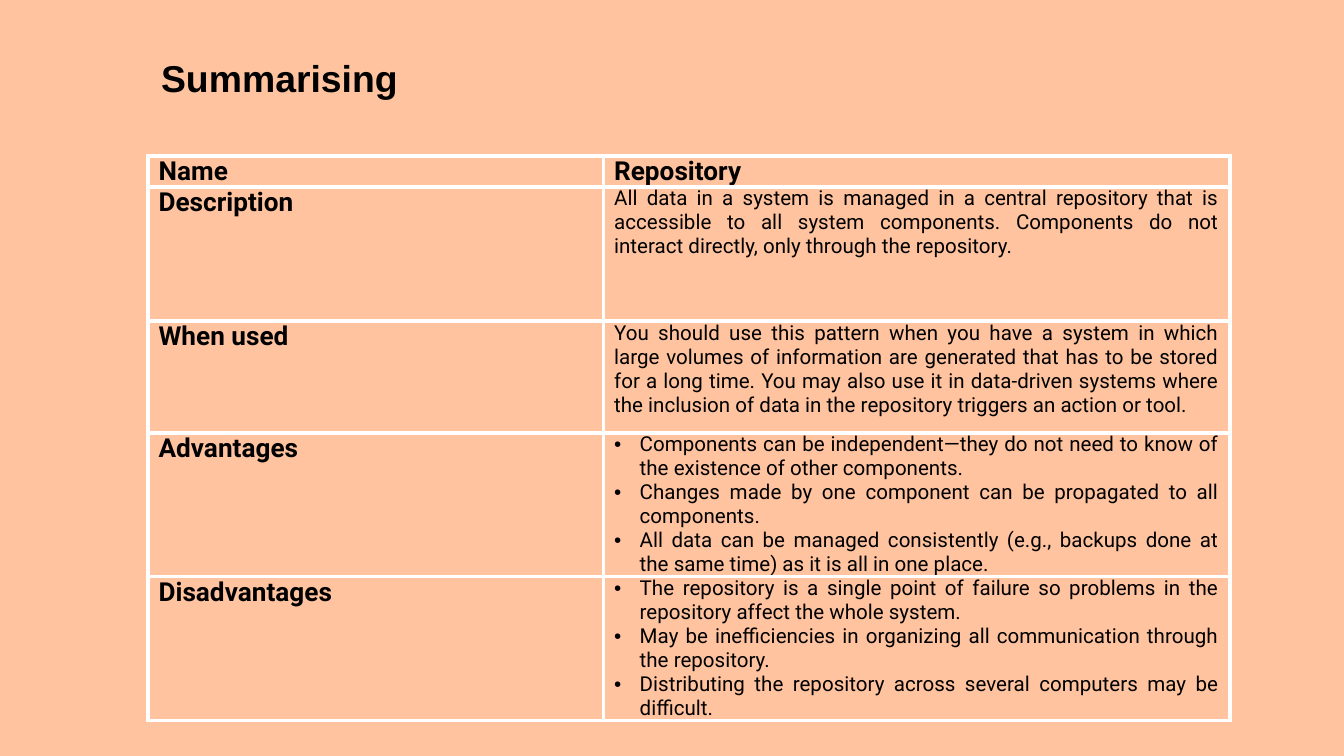
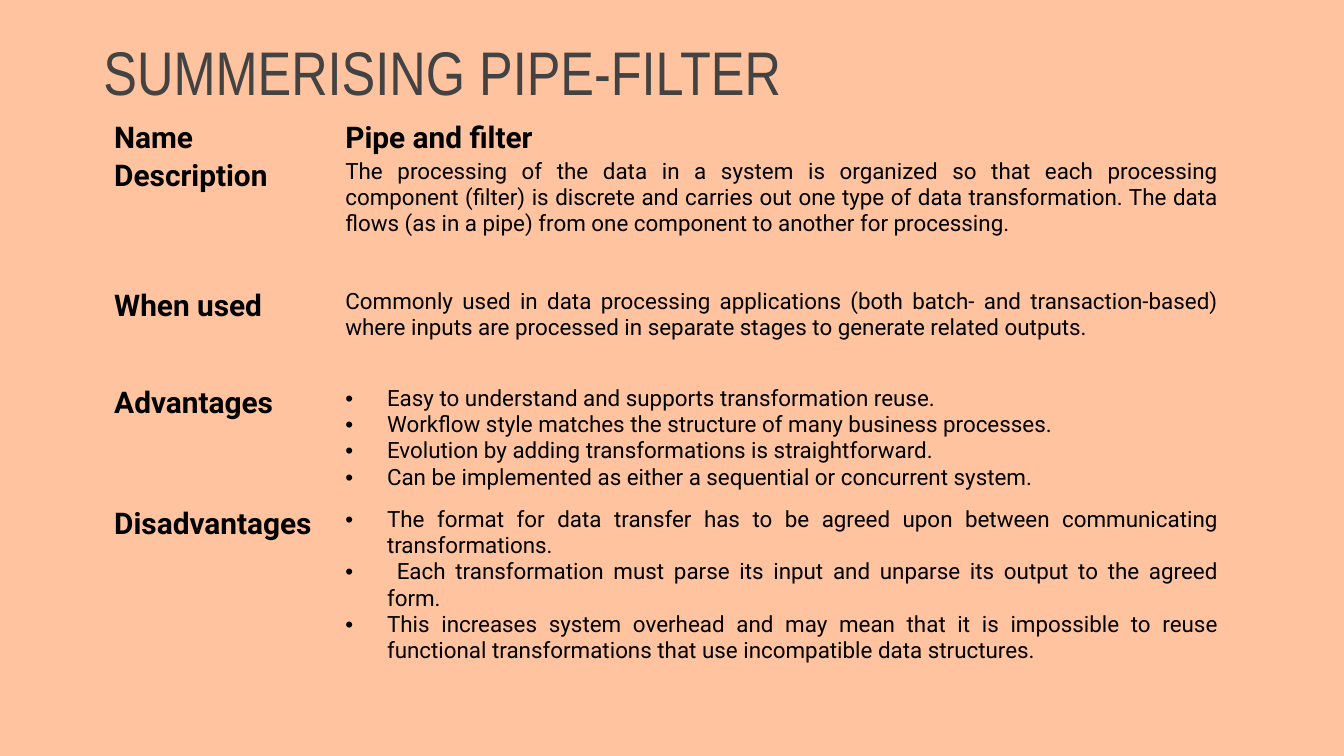
from lxml import etree
from pptx import Presentation
from pptx.dml.color import RGBColor
from pptx.enum import text
from pptx.oxml import ns
from pptx.util import Inches, Pt

COLORS = {"background": "FFC39F", "ink": "000000", "title": "434343", "border": "FFFFFF"}
FONTS = {"table": "Roboto", "heading": "Arial", "title": "Arial Narrow"}
BORDER_WIDTH = 2.25

REPOSITORY = [
    ("Name", "Repository"),
    ("Description", "All data in a system is managed in a central repository that is accessible to all "
     "system components. Components do not interact directly, only through the repository."),
    ("When used", "You should use this pattern when you have a system in which large volumes of "
     "information are generated that has to be stored for a long time. You may also use it in "
     "data-driven systems where the inclusion of data in the repository triggers an action or tool."),
    ("Advantages", [
        "Components can be independent—they do not need to know of the existence of other components.",
        "Changes made by one component can be propagated to all components.",
        "All data can be managed consistently (e.g., backups done at the same time) as it is all in "
        "one place.",
    ]),
    ("Disadvantages", [
        "The repository is a single point of failure so problems in the repository affect the whole system.",
        "May be inefficiencies in organizing all communication through the repository.",
        "Distributing the repository across several computers may be difficult.",
    ]),
]

PIPE_AND_FILTER = [
    ("Name", "Pipe and filter"),
    ("Description", "The processing of the data in a system is organized so that each processing "
     "component (filter) is discrete and carries out one type of data transformation. The data flows "
     "(as in a pipe) from one component to another for processing."),
    ("When used", "Commonly used in data processing applications (both batch- and transaction-based) "
     "where inputs are processed in separate stages to generate related outputs."),
    ("Advantages", [
        "Easy to understand and supports transformation reuse.",
        "Workflow style matches the structure of many business processes.",
        "Evolution by adding transformations is straightforward.",
        "Can be implemented as either a sequential or concurrent system.",
    ]),
    ("Disadvantages", [
        "The format for data transfer has to be agreed upon between communicating transformations.",
        " Each transformation must parse its input and unparse its output to the agreed form.",
        "This increases system overhead and may mean that it is impossible to reuse functional "
        "transformations that use incompatible data structures.",
    ]),
]


class Deck:
    """Holds the shared style and the current slide."""

    def __init__(self):
        self.presentation = Presentation()
        self.presentation.slide_width = Inches(10)
        self.presentation.slide_height = Inches(10 * 9 / 16)
        self.slide = None

    def add_slide(self):
        self.slide = self.presentation.slides.add_slide(self.presentation.slide_layouts[6])
        fill = self.slide.background.fill
        fill.solid()
        fill.fore_color.rgb = RGBColor.from_string(COLORS["background"])

    def style(self, paragraph, font, size, color="ink", bold=False):
        paragraph.font.name = FONTS[font]
        paragraph.font.size = Pt(size)
        paragraph.font.bold = bold
        paragraph.font.color.rgb = RGBColor.from_string(COLORS[color])

    def title(self, words, box, font, size, color="ink", bold=False, margins=(0, 0)):
        frame = self.slide.shapes.add_textbox(*map(Inches, box)).text_frame
        frame.word_wrap = True
        frame.margin_left = frame.margin_right = Inches(margins[0])
        frame.margin_top = frame.margin_bottom = Inches(margins[1])
        paragraph = frame.paragraphs[0]
        paragraph.text = words
        self.style(paragraph, font, size, color, bold)

    def bullet(self, paragraph, indent):
        properties = paragraph._p.get_or_add_pPr()
        properties.set("marL", str(Inches(indent)))
        properties.set("indent", str(-Inches(indent)))
        color = etree.SubElement(properties, ns.qn("a:buClr"))
        etree.SubElement(color, ns.qn("a:srgbClr"), val=COLORS["ink"])
        etree.SubElement(properties, ns.qn("a:buFont"), typeface="Arial")
        etree.SubElement(properties, ns.qn("a:buChar"), char="•")

    def borders(self, cell, visible):
        properties = cell._tc.get_or_add_tcPr()
        for side in ("lnL", "lnR", "lnT", "lnB"):
            line = etree.SubElement(properties, ns.qn(f"a:{side}"), w=str(Pt(BORDER_WIDTH)))
            if visible:
                fill = etree.SubElement(line, ns.qn("a:solidFill"))
                etree.SubElement(fill, ns.qn("a:srgbClr"), val=COLORS["border"])
            else:
                etree.SubElement(line, ns.qn("a:noFill"))

    def cell(self, cell, content, size, bold, indent, bordered):
        cell.margin_left = cell.margin_right = Inches(0.08)
        cell.margin_top = cell.margin_bottom = 0
        self.borders(cell, bordered)
        cell.fill.background()
        bulleted = isinstance(content, list)
        cell.text = "\n".join(content) if bulleted else content
        for paragraph in cell.text_frame.paragraphs:
            paragraph.alignment = text.PP_ALIGN.JUSTIFY
            if bulleted:
                self.bullet(paragraph, indent)
            self.style(paragraph, "table", size, bold=bold)

    def table(self, rows, left, top, widths, heights, label_size, body_size, indent, bordered):
        frame = self.slide.shapes.add_table(
            len(rows), len(widths), Inches(left), Inches(top),
            Inches(sum(widths)), Inches(sum(heights)))
        table = frame.table
        table.first_row = table.horz_banding = False
        for column, width in zip(table.columns, widths):
            column.width = Inches(width)
        for row, height in zip(table.rows, heights):
            row.height = Inches(height)
        for row_index, contents in enumerate(rows):
            for column_index, content in enumerate(contents):
                is_label = row_index == 0 or column_index == 0
                self.cell(table.cell(row_index, column_index), content,
                          label_size if is_label else body_size, is_label, indent, bordered)


def main():
    deck = Deck()

    deck.add_slide()
    deck.table(REPOSITORY, 1.1, 1.16, (3.39, 4.66), (0.21, 1, 0.83, 0.97, 0.97),
               label_size=14, body_size=11, indent=0.19, bordered=True)
    deck.title("Summarising", (1.1, 0.36, 4.79, 0.44), "heading", 20, bold=True, margins=(0.1, 0.05))

    deck.add_slide()
    deck.title("SUMMERISING PIPE-FILTER", (0.77, 0.25, 6.62, 1.13), "title", 33, "title")
    deck.table(PIPE_AND_FILTER, 0.77, 0.9, (1.72, 6.66), (0.28, 0.97, 0.72, 0.9, 1.58),
               label_size=16, body_size=12, indent=0.31, bordered=False)

    deck.presentation.save("out.pptx")


if __name__ == "__main__":
    main()
